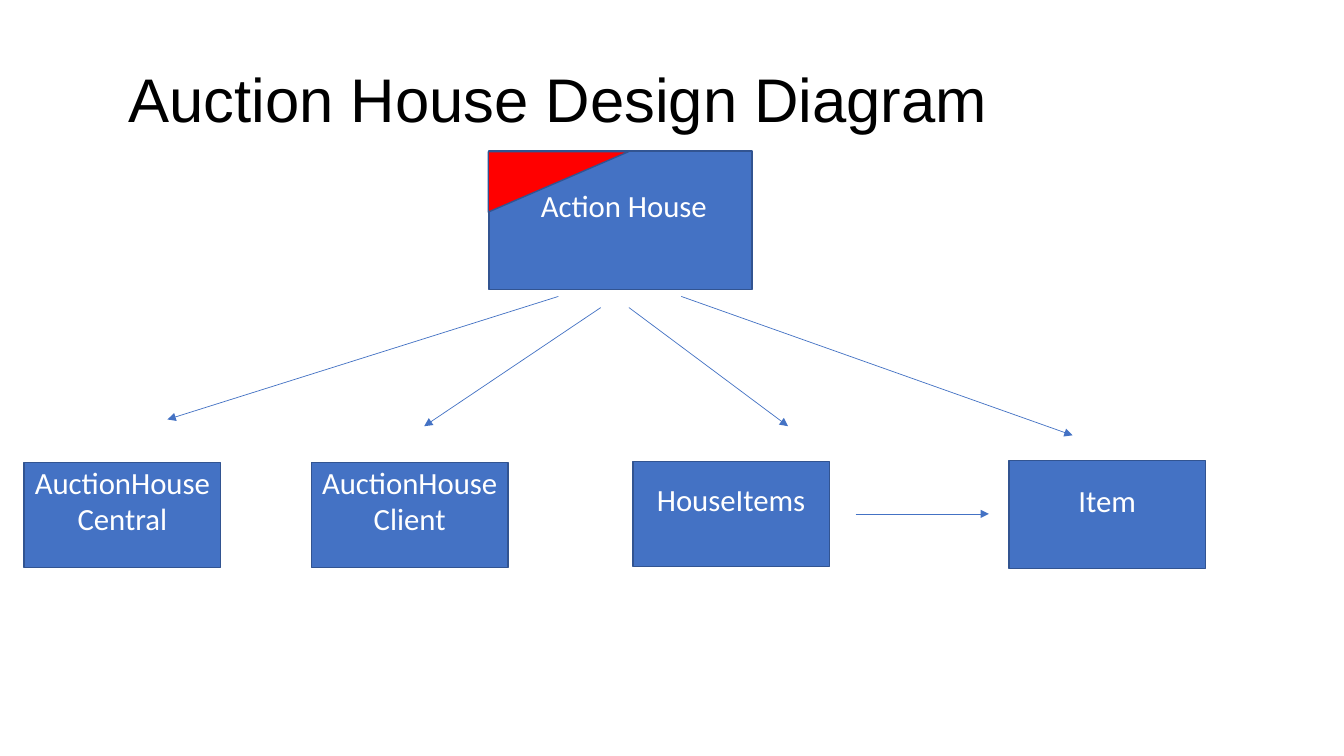
"""Builds the auction house design diagram slide."""
from dataclasses import dataclass

from lxml import etree
from pptx import Presentation
from pptx.dml.color import RGBColor
from pptx.enum.shapes import MSO_CONNECTOR, MSO_SHAPE
from pptx.enum.text import MSO_ANCHOR, PP_ALIGN
from pptx.oxml.ns import qn
from pptx.util import Cm, Pt

RECTANGLE = MSO_SHAPE.RECTANGLE
TRIANGLE = MSO_SHAPE.RIGHT_TRIANGLE
STRAIGHT = MSO_CONNECTOR.STRAIGHT
MIDDLE = MSO_ANCHOR.MIDDLE
CENTER = PP_ALIGN.CENTER


@dataclass(frozen=True)
class Theme:
    blue: RGBColor = RGBColor(0x44, 0x72, 0xC4)
    outline: RGBColor = RGBColor(0x32, 0x54, 0x91)
    red: RGBColor = RGBColor(0xFF, 0, 0)
    white: RGBColor = RGBColor(0xFF, 0xFF, 0xFF)
    black: RGBColor = RGBColor(0, 0, 0)
    title_font: str = "Arial"
    label_font: str = "Calibri"
    title_size: int = 44
    label_size: int = 22


theme = Theme()


def write_text(frame, text, *, font, size, color):
    frame.word_wrap = True
    frame.vertical_anchor = MIDDLE
    para = frame.paragraphs[0]
    para.alignment = CENTER
    span = para.add_run()
    span.text = text
    span.font.name = font
    span.font.size = Pt(size)
    span.font.color.rgb = color


def add_block(page, kind, left, top, width, height, *, fill):
    block = page.shapes.add_shape(kind, Cm(left), Cm(top), Cm(width), Cm(height))
    block.shadow.inherit = False
    block.fill.solid()
    block.fill.fore_color.rgb = fill
    block.line.color.rgb = theme.outline
    block.line.width = Pt(1)
    return block


deck = Presentation()
deck.slide_width = Cm(33.87)
deck.slide_height = Cm(19.05)
page = deck.slides.add_slide(deck.slide_layouts[5])

title = page.shapes.title
title.left, title.top, title.width, title.height = Cm(1.47), Cm(0.71), Cm(25.2), Cm(3.51)
frame = title.text_frame
frame.margin_left = frame.margin_right = frame.margin_top = frame.margin_bottom = 0
write_text(frame, "Auction House Design Diagram", font=theme.title_font,
           size=theme.title_size, color=theme.black)

boxes = [
    ("\u00a0Action House", 12.32, 3.81, 6.63, 3.48),
    ("AuctionHouseCentral", 0.61, 11.66, 4.95, 2.64),
    ("AuctionHouseClient", 7.85, 11.66, 4.95, 2.64),
    ("HouseItems", 15.95, 11.63, 4.95, 2.64),
    ("Item", 25.43, 11.61, 4.95, 2.72),
]
for label, left, top, width, height in boxes:
    box = add_block(page, RECTANGLE, left, top, width, height, fill=theme.blue)
    box.text_frame.margin_top = 0
    box.text_frame.margin_bottom = Cm(0.75)
    write_text(box.text_frame, label, font=theme.label_font,
               size=theme.label_size, color=theme.white)

corner = add_block(page, TRIANGLE, 13.31, 2.82, 1.52, 3.53, fill=theme.red)
corner.rotation = 90

arrows = [
    (14.07, 7.47, 4.22, 10.57),
    (15.14, 7.75, 10.69, 10.74),
    (15.85, 7.75, 19.86, 10.74),
    (17.17, 7.47, 27.03, 10.97),
    (21.56, 12.95, 24.92, 12.95),
]
for ends in arrows:
    arrow = page.shapes.add_connector(STRAIGHT, *map(Cm, ends))
    arrow.line.color.rgb = theme.blue
    arrow.line.width = Pt(0.5)
    etree.SubElement(arrow.line._get_or_add_ln(), qn("a:tailEnd"), type="triangle")
    etree.SubElement(arrow._element.spPr, qn("a:effectLst"))

deck.save("out.pptx")
